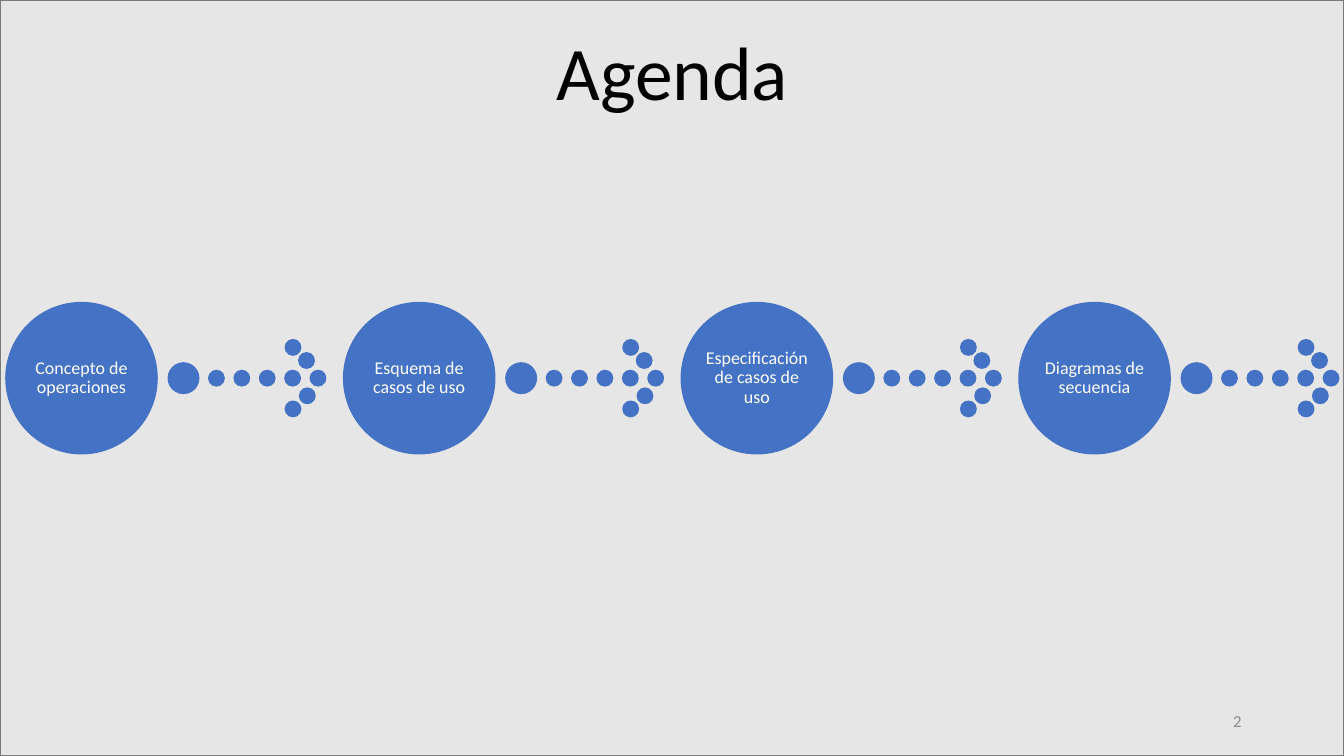
from pptx import Presentation
from pptx import util as u
from pptx.dml.color import RGBColor
from pptx.enum import shapes, text


def tint(code):
    """Turn a hex string into a colour."""
    return RGBColor.from_string(code)


class Deck:
    """Hold the style and the current slide."""

    font = "Calibri"
    blue = "4472C4"
    mid = 9.53

    def __init__(self):
        """Start a wide deck with one blank slide."""
        self.prs = Presentation()
        self.prs.slide_width = u.Cm(33.87)
        self.prs.slide_height = u.Cm(19.05)
        self.slide = self.prs.slides.add_slide(self.prs.slide_layouts[6])

    def shape(self, kind, left, top, width, height, fill, line):
        """Draw a filled shape with a thin outline."""
        form = self.slide.shapes.add_shape(
            kind, u.Cm(left), u.Cm(top), u.Cm(width), u.Cm(height))
        form.shadow.inherit = False
        form.fill.solid()
        form.fill.fore_color.rgb = tint(fill)
        form.line.color.rgb = tint(line)
        form.line.width = u.Pt(1)
        return form

    def disc(self, left, top, size):
        """Draw a blue circle."""
        return self.shape(shapes.MSO_SHAPE.OVAL, left, top, size, size,
                          self.blue, self.blue)

    def put(self, frame, words, size, color, align):
        """Put one paragraph into a text frame."""
        frame.word_wrap = True
        para = frame.paragraphs[0]
        para.alignment = align
        run = para.add_run()
        run.text = words
        run.font.name = self.font
        run.font.size = u.Pt(size)
        run.font.color.rgb = tint(color)
        return para

    def label(self, left, top, width, height, words, size, color, align, anchor):
        """Add a text box."""
        box = self.slide.shapes.add_textbox(
            u.Cm(left), u.Cm(top), u.Cm(width), u.Cm(height))
        box.text_frame.vertical_anchor = anchor
        self.put(box.text_frame, words, size, color, align)

    def arrow(self, left):
        """Draw a dotted arrow with a large tail dot."""
        dot, tail = 0.39, 0.77
        self.disc(left, self.mid - tail / 2, tail)
        for i in range(5):
            self.disc(left + 1.02 + 0.64 * i, self.mid - dot / 2, dot)
        for x, y in ((2.95, 8.56), (3.29, 8.89), (3.31, 9.78), (2.95, 10.11)):
            self.disc(left + x, y, dot)

    def stage(self, left, words):
        """Draw a named circle and the arrow after it."""
        size = 3.81
        self.arrow(left + 4.09)
        frame = self.disc(left, self.mid - size / 2, size).text_frame
        frame.margin_left = frame.margin_right = u.Cm(0.05)
        frame.margin_top = frame.margin_bottom = u.Cm(0.05)
        frame.vertical_anchor = text.MSO_ANCHOR.MIDDLE
        para = self.put(frame, words, 12.8, "FFFFFF", text.PP_ALIGN.CENTER)
        para.line_spacing = 0.9


def main():
    """Build the agenda slide."""
    deck = Deck()
    deck.shape(shapes.MSO_SHAPE.RECTANGLE, 0, 0, 33.87, 19.05,
               "E7E6E6", "7A7A7A")
    deck.label(10.8, 0.51, 12.29, 2.57, "Agenda", 54, "000000",
               text.PP_ALIGN.CENTER, text.MSO_ANCHOR.TOP)
    steps = ("Concepto de operaciones", "Esquema de casos de uso",
             "Especificación de casos de uso", "Diagramas de secuencia")
    for i, words in enumerate(steps):
        deck.stage(0.15 + 8.51 * i, words)
    deck.label(23.92, 17.66, 7.62, 1.01, "2", 12, "8C8C8C",
               text.PP_ALIGN.RIGHT, text.MSO_ANCHOR.MIDDLE)
    deck.prs.save("out.pptx")


if __name__ == "__main__":
    main()
